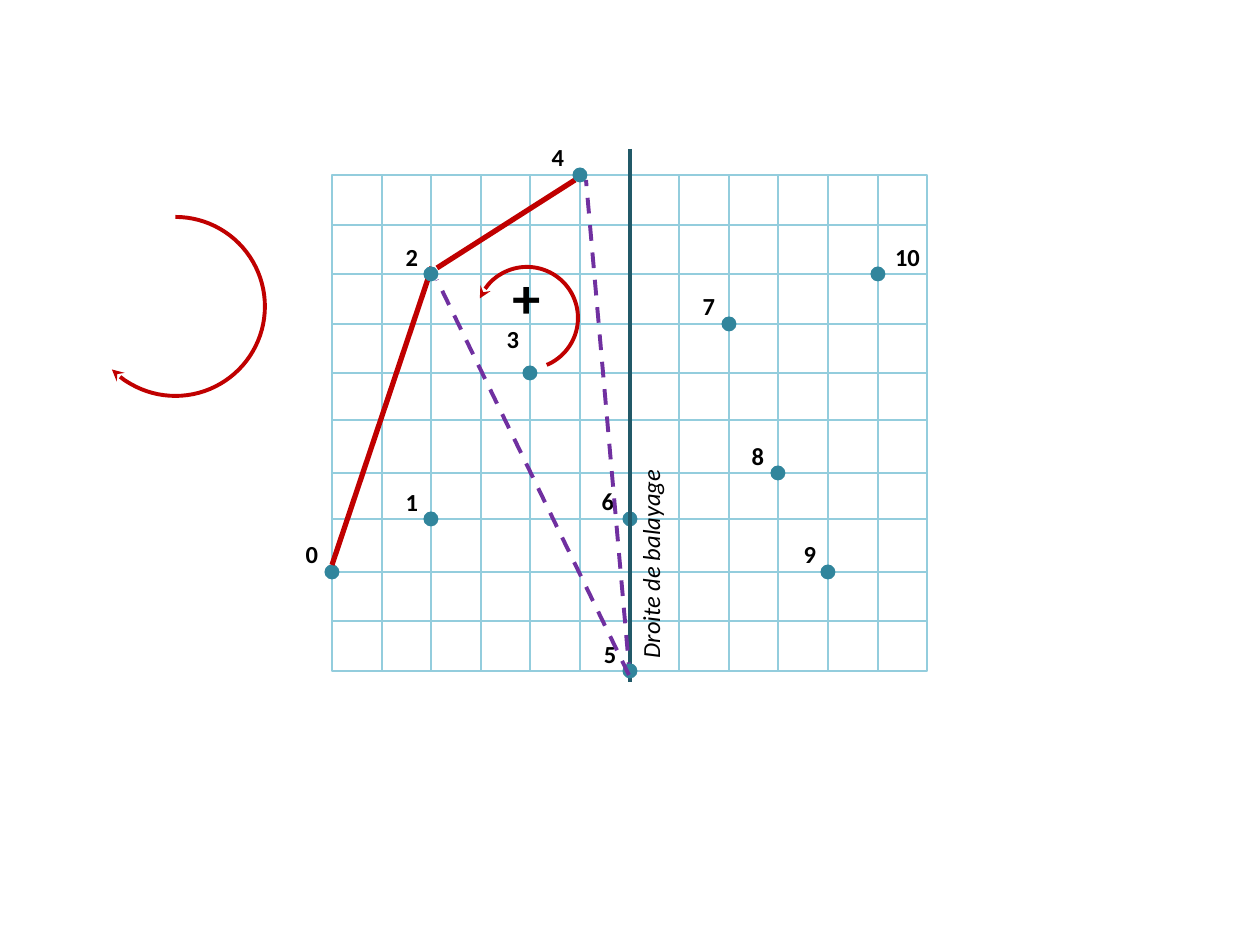
"""Build the sweep-line convex hull slide."""
from dataclasses import dataclass

from lxml import etree
from pptx import Presentation
from pptx import util as u
from pptx.dml.color import RGBColor
from pptx.enum import dml, shapes, text
from pptx.oxml.ns import qn

PX = u.Inches(1) / 126
LEFT, TOP, STEP = 332, 175, 49.6
COLS, ROWS = 12, 10
ROW_SHIFT = {5: -3, 7: -3}
DOT = 15
GRID, TEAL, DARK = "93CDDD", "31859C", "215968"
RED, PURPLE, BLACK = "C00000", "7030A0", "000000"
MSO = shapes.MSO_SHAPE


@dataclass
class Point:
    name: str
    col: int
    row: int
    label_x: int
    label_y: int
    label_w: int = 40


@dataclass
class Line:
    x1: int
    y1: int
    x2: int
    y2: int
    color: str
    width: float
    dashed: bool = False


@dataclass
class Arc:
    x: int
    y: int
    size: int
    start: float
    end: float
    arrow: str


def px(n: float) -> u.Emu:
    return u.Emu(round(n * PX))


def rgb(color: str) -> RGBColor:
    return RGBColor.from_string(color)


def col(n: int) -> int:
    return LEFT + round(n * STEP)


def row(n: int) -> int:
    return TOP + round(n * STEP) + ROW_SHIFT.get(n, 0)


def add_shape(slide, kind, x: float, y: float, w: float, h: float,
              fill: str = "", line: str = "", width: float = 1):
    sp = slide.shapes.add_shape(kind, px(x), px(y), px(w), px(h))
    sp.shadow.inherit = False
    if fill:
        sp.fill.solid()
        sp.fill.fore_color.rgb = rgb(fill)
    else:
        sp.fill.background()
    if line:
        sp.line.color.rgb = rgb(line)
        sp.line.width = u.Pt(width)
    else:
        sp.line.fill.background()
    return sp


def add_line(slide, ln: Line) -> None:
    cx = slide.shapes.add_connector(shapes.MSO_CONNECTOR.STRAIGHT,
                                    px(ln.x1), px(ln.y1), px(ln.x2), px(ln.y2))
    cx.line.color.rgb = rgb(ln.color)
    cx.line.width = u.Pt(ln.width)
    if ln.dashed:
        cx.line.dash_style = dml.MSO_LINE.DASH
    etree.SubElement(cx._element.spPr, qn("a:effectLst"))


def add_text(slide, words: str, x: int, y: int, w: int, h: int, size: int = 14,
             bold: bool = True, align=text.PP_ALIGN.CENTER):
    sp = slide.shapes.add_textbox(px(x), px(y), px(w), px(h))
    tf = sp.text_frame
    tf.word_wrap = True
    tf.auto_size = text.MSO_AUTO_SIZE.SHAPE_TO_FIT_TEXT
    p = tf.paragraphs[0]
    p.text = words
    p.alignment = align
    p.font.name = "Calibri"
    p.font.size = u.Pt(size)
    p.font.bold = bold
    p.font.italic = not bold
    p.font.color.rgb = rgb(BLACK)
    return sp


def add_grid(slide) -> None:
    for a, b in [(0, 12), (2, 10), (4, 8), (1, 5), (3, 7), (9, 11)]:
        add_shape(slide, MSO.RECTANGLE, col(a), row(0), col(b) - col(a),
                  row(ROWS) - row(0), line=GRID)
    for a, b in [(2, 8), (4, 6), (1, 3), (5, 7)]:
        add_shape(slide, MSO.RECTANGLE, col(0), row(a), col(COLS) - col(0),
                  row(b) - row(a), line=GRID)
    add_line(slide, Line(col(6), row(0), col(6), row(ROWS), GRID, 1))
    add_line(slide, Line(col(0), row(9), col(COLS), row(9), GRID, 1))


def add_point(slide, pt: Point) -> None:
    add_shape(slide, MSO.OVAL, col(pt.col) - DOT / 2, row(pt.row) - DOT / 2,
              DOT, DOT, fill=TEAL)
    add_text(slide, pt.name, pt.label_x, pt.label_y, pt.label_w, 43)


def add_arc(slide, arc: Arc) -> None:
    sp = add_shape(slide, MSO.ARC, arc.x, arc.y, arc.size, arc.size,
                   line=RED, width=2.25)
    sp.adjustments[0] = arc.start * 0.6
    sp.adjustments[1] = arc.end * 0.6
    etree.SubElement(sp.line._get_or_add_ln(), qn(arc.arrow), type="stealth")


LOWER_POINTS = [
    Point("0", 0, 8, 292, 533), Point("6", 6, 7, 588, 480),
    Point("7", 8, 3, 689, 285), Point("8", 9, 6, 738, 435),
    Point("9", 10, 8, 790, 533), Point("10", 11, 2, 878, 236, 59),
]
UPPER_POINTS = [
    Point("1", 2, 7, 392, 481), Point("2", 2, 2, 392, 236),
    Point("3", 4, 4, 493, 318), Point("4", 5, 0, 538, 136),
    Point("5", 6, 10, 590, 633),
]
LINES = [
    Line(432, 267, 332, 565, RED, 3),
    Line(630, 149, 630, 682, DARK, 2.25),
    Line(630, 678, 586, 180, PURPLE, 2.25, True),
    Line(575, 180, 437, 268, RED, 3),
]
ARCS = [
    Arc(476, 267, 102, 202.5, 67.2, "a:headEnd"),
    Arc(86, 217, 179, 270, 135.2, "a:tailEnd"),
]


def main() -> None:
    prs = Presentation()
    prs.slide_width, prs.slide_height = px(1260), px(945)
    slide = prs.slides.add_slide(prs.slide_layouts[6])
    add_grid(slide)
    for pt in LOWER_POINTS:
        add_point(slide, pt)
    for ln in LINES:
        add_line(slide, ln)
    for pt in UPPER_POINTS:
        add_point(slide, pt)
    sweep = add_text(slide, "Droite de balayage", 512, 510, 278, 43,
                     bold=False, align=text.PP_ALIGN.LEFT)
    sweep.rotation = 270
    add_line(slide, Line(629, 675, 437, 280, PURPLE, 2.25, True))
    for arc in ARCS:
        add_arc(slide, arc)
    add_text(slide, "+", 500, 256, 40, 81, size=32)
    prs.save("out.pptx")


main()
